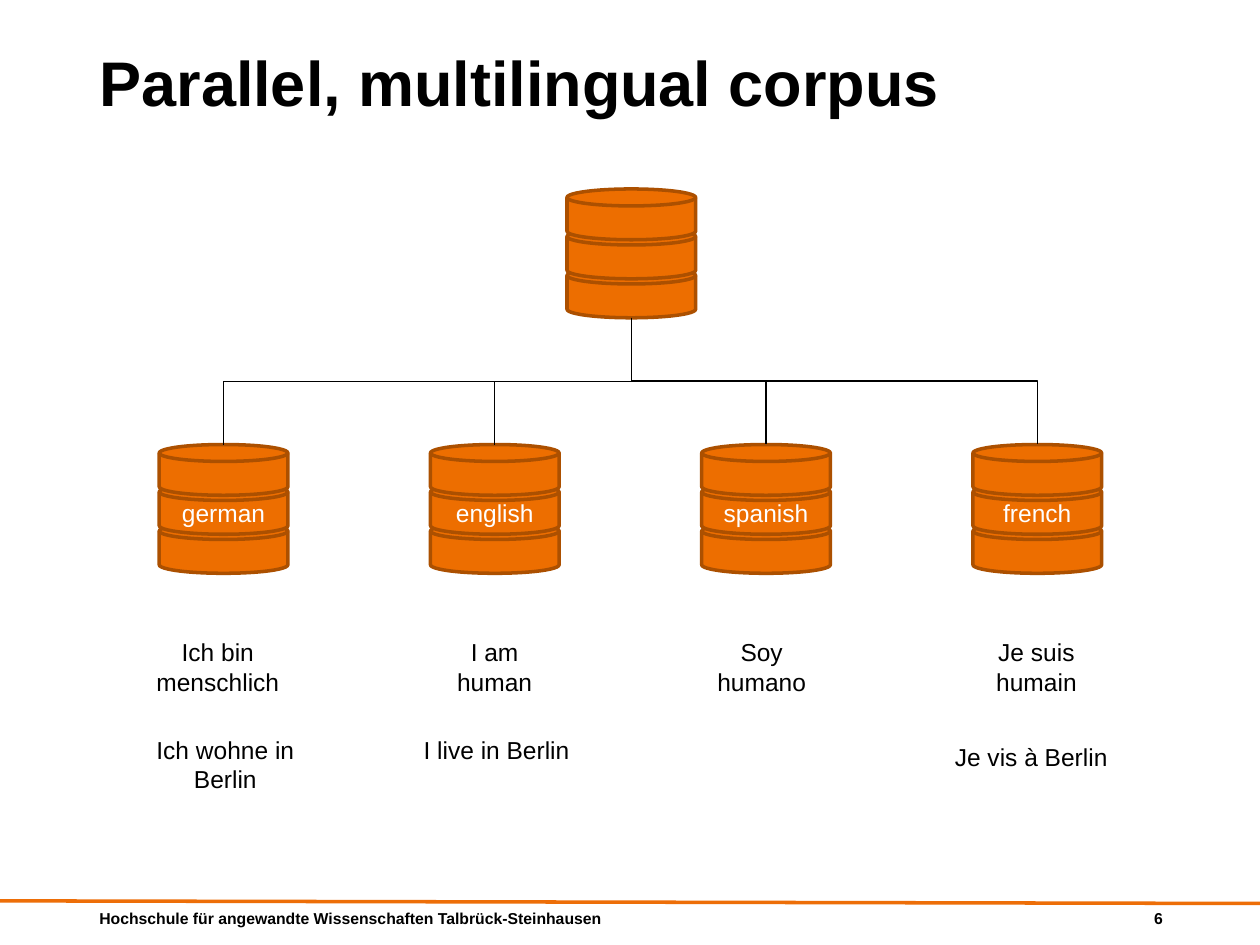
from pptx import Presentation
from pptx.dml.color import RGBColor
from pptx.enum.shapes import MSO_CONNECTOR, MSO_SHAPE
from pptx.enum.text import MSO_ANCHOR, MSO_AUTO_SIZE, PP_ALIGN
from pptx.util import Pt
from lxml import etree

DISK = MSO_SHAPE.FLOWCHART_MAGNETIC_DISK
ELBOW, LINE = MSO_CONNECTOR.ELBOW, MSO_CONNECTOR.STRAIGHT
TOP, MID, LOW = MSO_ANCHOR.TOP, MSO_ANCHOR.MIDDLE, MSO_ANCHOR.BOTTOM
LEFT, MIDDLE, RIGHT = PP_ALIGN.LEFT, PP_ALIGN.CENTER, PP_ALIGN.RIGHT
FIXED = MSO_AUTO_SIZE.NONE
NS = "{http://schemas.openxmlformats.org/drawingml/2006/main}"

# Disk size, offset between disks of a stack, and stack height
WIDE, HIGH, STEP = 73.5, 29, 22.3
TALL = HIGH + 2 * STEP


def color(code):
    return RGBColor.from_string(code)


def apply(item, values):
    for name, value in values.items():
        setattr(item, name, value)


class Deck:
    font = "Arial"
    ink, paper = "000000", "FFFFFF"
    orange, edge, rule = "ED6E00", "AC5000", "ED6E08"

    def __init__(self):
        self.file = Presentation()
        apply(self.file, {"slide_width": Pt(720), "slide_height": Pt(540)})
        self.slide = self.file.slides.add_slide(self.file.slide_layouts[5])
        self.shapes = self.slide.shapes

    def label(self, shape, text, size=14, bold=False, ink=ink, align=MIDDLE,
              anchor=TOP, pad=7.2, space=1.0):
        frame = shape.text_frame
        apply(frame, {"word_wrap": True, "auto_size": FIXED,
                      "vertical_anchor": anchor,
                      "margin_left": Pt(7.2), "margin_right": Pt(7.2),
                      "margin_top": Pt(pad), "margin_bottom": Pt(pad)})
        para = frame.paragraphs[0]
        apply(para, {"alignment": align, "line_spacing": space})
        run = para.add_run()
        run.text = text
        apply(run.font, {"name": self.font, "size": Pt(size), "bold": bold})
        run.font.color.rgb = color(ink)

    def title(self, text, x, y, w, h):
        shape = self.shapes.title
        apply(shape, {"left": Pt(x), "top": Pt(y),
                      "width": Pt(w), "height": Pt(h)})
        self.label(shape, text, size=36, bold=True, align=LEFT, anchor=LOW,
                   pad=3.6, space=0.9)

    def text(self, text, x, y, w, h, **style):
        box = self.shapes.add_textbox(Pt(x), Pt(y), Pt(w), Pt(h))
        self.label(box, text, **style)

    def line(self, kind, x1, y1, x2, y2, ink, width):
        line = self.shapes.add_connector(kind, Pt(x1), Pt(y1), Pt(x2), Pt(y2))
        line.line.color.rgb = color(ink)
        line.line.width = Pt(width)
        etree.SubElement(line.element.spPr, NS + "effectLst")
        return line

    def branch(self, hub, leaf, top, low):
        # An elbow turned by 270 degrees, so that it leaves vertically
        x, y = (hub + leaf) / 2, (top + low) / 2
        dx, dy = (low - top) / 2, abs(hub - leaf) / 2
        if leaf > hub:
            dx = -dx
        line = self.line(ELBOW, x - dx, y - dy, x + dx, y + dy, self.ink, 0.75)
        line.element.spPr.xfrm.set("rot", str(270 * 60000))

    def stack(self, x, y, name=None):
        group = self.shapes.add_group_shape()
        for row in (2, 1, 0):
            disk = group.shapes.add_shape(
                DISK, Pt(x), Pt(y + row * STEP), Pt(WIDE), Pt(HIGH))
            disk.shadow.inherit = False
            disk.fill.solid()
            disk.fill.fore_color.rgb = color(self.orange)
            disk.line.color.rgb = color(self.edge)
            disk.line.width = Pt(2)
            if name and row == 1:
                self.label(disk, name, ink=self.paper, anchor=MID, pad=3.6)


def main():
    deck = Deck()

    # Footer and title
    deck.line(LINE, 0, 514.8, 720, 516.3, deck.rule, 2)
    deck.text("Hochschule für angewandte Wissenschaften Talbrück-Steinhausen",
              49.7, 515.5, 340, 18, size=9, bold=True, align=LEFT,
              anchor=MID, pad=3.6)
    deck.text("6", 597.6, 516, 74, 17.3, size=9, bold=True, align=RIGHT,
              anchor=MID, pad=3)
    deck.title("Parallel, multilingual corpus", 49.7, 18.7, 556, 53.3)

    # Corpus at the top, one stack per language below
    hub, top, low = 324, 108, 254
    deck.stack(hub, top)
    for col, name in enumerate(("german", "english", "spanish", "french")):
        x = 91 + 155 * col
        deck.stack(x, low, name)
        deck.branch(hub + WIDE / 2, x + WIDE / 2, top + TALL, low)

    # Sample sentences
    for text, x, w in (("Ich bin menschlich", 80, 89),
                       ("I am human", 243.4, 78.5),
                       ("Soy humano", 396, 78.5),
                       ("Je suis humain", 553, 78.5)):
        deck.text(text, x, 357, w, 48)
    for text, x, h in (("Ich wohne in Berlin", 74, 48),
                       ("I live in Berlin", 229, 32)):
        deck.text(text, x, 412.6, 109.5, h)
    deck.text("Je vis à Berlin", 538.5, 412, 109.5, 32, align=LEFT, space=1.29)

    deck.file.save("out.pptx")


if __name__ == "__main__":
    main()
